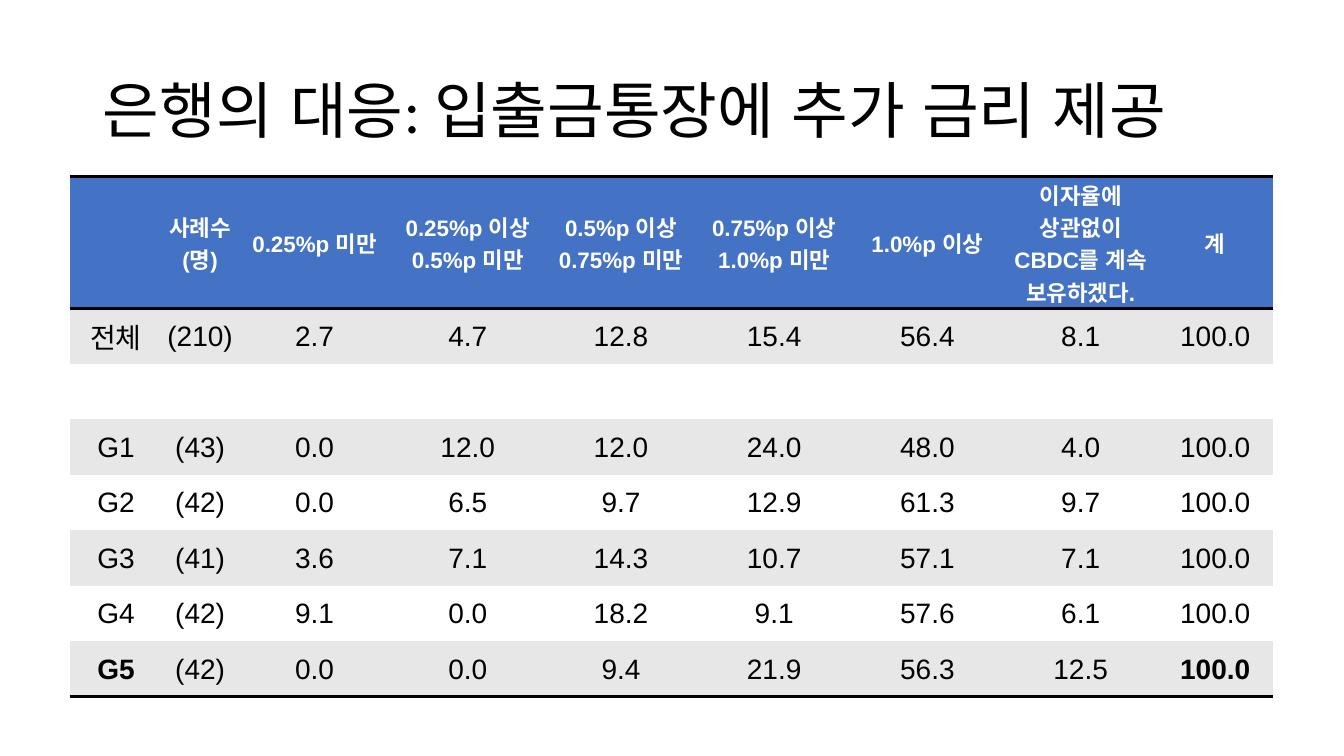
import pptx
import pptx.dml.color
import pptx.enum.lang
import pptx.enum.text
import pptx.oxml
import pptx.oxml.ns
import pptx.util

RGBColor = pptx.dml.color.RGBColor
BLACK = RGBColor(0x00, 0x00, 0x00)
WHITE = RGBColor(0xFF, 0xFF, 0xFF)
HEADER_BLUE = RGBColor(0x44, 0x72, 0xC4)
BAND_GRAY = RGBColor(0xE7, 0xE7, 0xE7)

ALIGN = pptx.enum.text.PP_ALIGN
MIDDLE = pptx.enum.text.MSO_ANCHOR.MIDDLE
PX_PER_INCH = 100
PLAIN_TABLE_STYLE = "{2D5ABB26-0587-4C30-8999-92F81FD0307C}"

TITLE = "은행의 대응: 입출금통장에 추가 금리 제공"
HEADINGS = [
    "", "사례수 (명)", "0.25%p 미만", "0.25%p 이상 0.5%p 미만",
    "0.5%p 이상 0.75%p 미만", "0.75%p 이상 1.0%p 미만", "1.0%p 이상",
    "이자율에 상관없이 CBDC를 계속 보유하겠다.", "계",
]
RESPONSES = [
    ["전체", "(210)", "2.7", "4.7", "12.8", "15.4", "56.4", "8.1", "100.0"],
    [""] * len(HEADINGS),
    ["G1", "(43)", "0.0", "12.0", "12.0", "24.0", "48.0", "4.0", "100.0"],
    ["G2", "(42)", "0.0", "6.5", "9.7", "12.9", "61.3", "9.7", "100.0"],
    ["G3", "(41)", "3.6", "7.1", "14.3", "10.7", "57.1", "7.1", "100.0"],
    ["G4", "(42)", "9.1", "0.0", "18.2", "9.1", "57.6", "6.1", "100.0"],
    ["G5", "(42)", "0.0", "0.0", "9.4", "21.9", "56.3", "12.5", "100.0"],
]
COLUMN_WIDTHS = [92, 75] + [152] * 6 + [115]
ROW_HEIGHTS = [131] + [55] * len(RESPONSES)


def px(length):
    return pptx.util.Inches(length / PX_PER_INCH)


def write_text(frame, text, *, size, color, font="Arial", bold=False,
               align=ALIGN.CENTER, line_spacing=None):
    paragraph = frame.paragraphs[0]
    paragraph.alignment = align
    paragraph.line_spacing = line_spacing
    run = paragraph.add_run()
    run.text = text
    run.font.name = font
    run.font.size = pptx.util.Pt(size)
    run.font.bold = bold
    run.font.color.rgb = color
    run.font.language_id = pptx.enum.lang.MSO_LANGUAGE_ID.KOREAN


def add_border(cell, side):
    namespace = pptx.oxml.ns.nsdecls("a")
    width = pptx.util.Pt(2)
    border = pptx.oxml.parse_xml(
        f'<a:ln{side} {namespace} w="{width}"><a:solidFill>'
        f'<a:srgbClr val="{BLACK}"/></a:solidFill></a:ln{side}>')
    cell._tc.get_or_add_tcPr().append(border)


def format_cell(cell, text, *, fill, borders="", **text_format):
    for side in borders:
        add_border(cell, side)
    cell.fill.solid()
    cell.fill.fore_color.rgb = fill
    cell.margin_left = cell.margin_right = cell.margin_top = px(1)
    cell.margin_bottom = 0
    cell.vertical_anchor = MIDDLE
    if text:
        write_text(cell.text_frame, text, **text_format)


def place_title(slide):
    title = slide.shapes.title
    title.left, title.top, title.width, title.height = map(px, (92, 40, 1150, 145))
    title.text_frame.vertical_anchor = MIDDLE
    write_text(title.text_frame, TITLE, size=44, color=BLACK, font="Calibri",
               align=ALIGN.LEFT, line_spacing=0.9)


def add_response_table(slide):
    frame = slide.shapes.add_table(
        len(ROW_HEIGHTS), len(COLUMN_WIDTHS), px(69), px(175),
        px(sum(COLUMN_WIDTHS)), px(sum(ROW_HEIGHTS)))
    table = frame.table
    table.horz_banding = False
    table._tbl.tblPr.find(pptx.oxml.ns.qn("a:tableStyleId")).text = PLAIN_TABLE_STYLE
    for column, width in zip(table.columns, COLUMN_WIDTHS):
        column.width = px(width)
    for row, height in zip(table.rows, ROW_HEIGHTS):
        row.height = px(height)

    for column, heading in enumerate(HEADINGS):
        format_cell(table.cell(0, column), heading, fill=HEADER_BLUE,
                    borders="TB", size=16, color=WHITE, bold=True)
    last_row = len(RESPONSES)
    last_column = len(HEADINGS) - 1
    for row, values in enumerate(RESPONSES, start=1):
        for column, value in enumerate(values):
            format_cell(table.cell(row, column), value,
                        fill=BAND_GRAY if row % 2 else WHITE,
                        borders="B" if row == last_row else "",
                        size=20, color=BLACK,
                        bold=row == last_row and column in (0, last_column))


def main():
    presentation = pptx.Presentation()
    presentation.slide_width = px(1333)
    presentation.slide_height = px(750)
    slide = presentation.slides.add_slide(presentation.slide_layouts[5])
    place_title(slide)
    add_response_table(slide)
    presentation.save("out.pptx")


if __name__ == "__main__":
    main()
